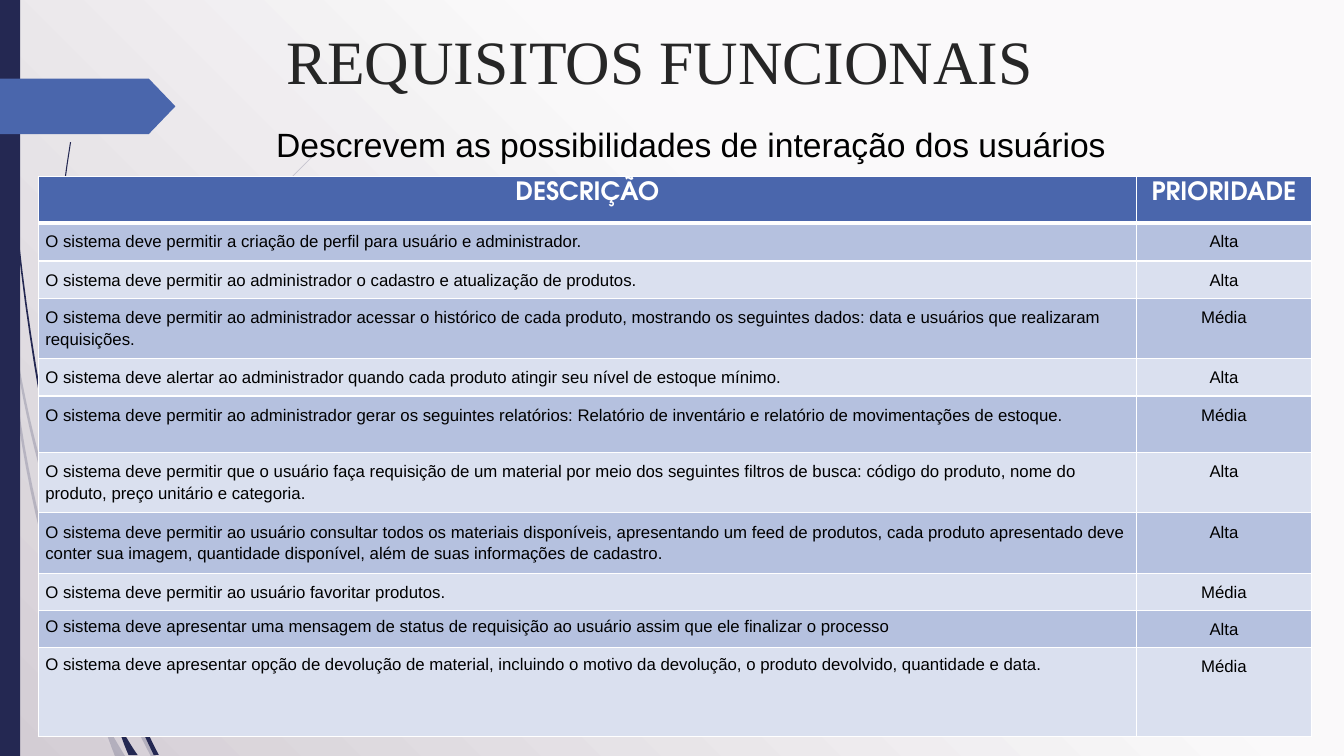
"""Build the functional requirements slide with its priority table."""
import copy
from dataclasses import dataclass
from typing import Any, Optional

import lxml.etree
import pptx
import pptx.dml.color
import pptx.enum.shapes
import pptx.enum.text
import pptx.oxml.ns
import pptx.util

Inches = pptx.util.Inches
Pt = pptx.util.Pt
Align = pptx.enum.text.PP_ALIGN
Anchor = pptx.enum.text.MSO_ANCHOR
Preset = pptx.enum.shapes.MSO_SHAPE
qn = pptx.oxml.ns.qn
Point = tuple[float, float]

COLORS = {"navy": "242852", "blue": "4A66AC", "dark_band": "B5C1DF", "light_band": "DAE0EF",
          "white": "FFFFFF", "black": "000000", "title": "262626",
          "sky": "FAF9FA", "haze": "F9F8F9", "dusk": "D3CDD4"}
TITLE = {"name": "Times New Roman", "size": Pt(44), "color": "title"}
SUBTITLE = {"name": "Arial", "size": Pt(24), "color": "black"}
HEADER = {"name": "TeX Gyre Adventor", "size": Pt(18), "bold": True, "color": "white"}
BODY = {"name": "Arial", "size": Pt(12), "bold": False, "color": "black"}
LOOSE = {"line_spacing": 1.15}
SPACED = LOOSE | {"space_before": Pt(12), "space_after": Pt(12)}
PLAIN: dict[str, Any] = {}
PADDING = {f"margin_{side}": Inches(0.07) for side in ("left", "top", "right", "bottom")}


@dataclass
class Requirement:
    description: str
    priority: str
    height: float
    spacing: dict[str, Any]


@dataclass
class Stem:
    start: Point
    bend: Point
    end: Point
    start_width: float = 0.02
    end_width: float = 0.02
    opacity: int = 20


REQUIREMENTS = [
    Requirement("O sistema deve permitir a criação de perfil para usuário e administrador.",
                "Alta", 0.38, SPACED),
    Requirement("O sistema deve permitir ao administrador o cadastro e atualização de produtos.",
                "Alta", 0.35, SPACED),
    Requirement("O sistema deve permitir ao administrador acessar o histórico de cada produto, mostrando os "
                "seguintes dados: data e usuários que realizaram requisições.", "Média", 0.56, SPACED),
    Requirement("O sistema deve alertar ao administrador quando cada produto atingir seu nível de estoque "
                "mínimo.", "Alta", 0.35, SPACED),
    Requirement("O sistema deve permitir ao administrador gerar os seguintes relatórios: Relatório de "
                "inventário e relatório de movimentações de estoque.", "Média", 0.56, SPACED),
    Requirement("O sistema deve permitir que o usuário faça requisição de um material por meio dos seguintes "
                "filtros de busca: código do produto, nome do produto, preço unitário e categoria.",
                "Alta", 0.56, LOOSE),
    Requirement("O sistema deve permitir ao usuário consultar todos os materiais disponíveis, apresentando um "
                "feed de produtos, cada produto apresentado deve conter sua imagem, quantidade disponível, "
                "além de suas informações de cadastro.", "Alta", 0.56, LOOSE),
    Requirement("O sistema deve permitir ao usuário favoritar produtos.", "Média", 0.35, SPACED),
    Requirement("O sistema deve apresentar uma mensagem de status de requisição ao usuário assim que ele "
                "finalizar o processo", "Alta", 0.36, PLAIN),
    Requirement("O sistema deve apresentar opção de devolução de material, incluindo o motivo da devolução, "
                "o produto devolvido, quantidade\u00a0e data.", "Média", 0.88, PLAIN),
]

STEMS = [
    Stem((0.15, 3.45), (0.37, 4.81), (0.85, 5.93), end_width=0.04),
    Stem((0.88, 6), (1.14, 6.8), (1.52, 7.5), end_width=0.05),
    Stem((0.11, 3.5), (0.28, 5.32), (1.01, 7.14), end_width=0.04),
    Stem((0.86, 5.9), (1.01, 3.58), (3.12, 1.53), end_width=0.01),
    Stem((1.02, 7.14), (1.1, 7.32), (1.19, 7.5), end_width=0.1),
    Stem((0.04, 0), (0.06, 2.4), (0.57, 4.81), start_width=0.01, opacity=100),
    Stem((0.7, 1.41), (0.42, 3.14), (0.59, 4.7), start_width=0.01, opacity=100),
    Stem((1.1, 6.41), (1.28, 6.95), (1.55, 7.49), end_width=0.05, opacity=100),
    Stem((1.18, 7.2), (1.24, 7.35), (1.32, 7.49), end_width=0.09, opacity=100),
]


def rgb(key: str) -> pptx.dml.color.RGBColor:
    return pptx.dml.color.RGBColor.from_string(COLORS[key])


def apply(target: Any, values: dict[str, Any]) -> None:
    for attribute, value in values.items():
        if attribute == "color":
            target.color.rgb = rgb(value)
        else:
            setattr(target, attribute, value)


def paint(shape: Any, key: str, opacity: int = 100) -> None:
    shape.shadow.inherit = False
    shape.line.fill.background()
    shape.fill.solid()
    shape.fill.fore_color.rgb = rgb(key)
    if opacity < 100:
        tint = shape._element.spPr.find(f"{qn('a:solidFill')}/{qn('a:srgbClr')}")
        lxml.etree.SubElement(tint, qn("a:alpha"), val=str(opacity * 1000))


def draw_stem(stem: Stem, steps: int = 16) -> None:
    left, right = [], []
    for t in (step / steps for step in range(steps + 1)):
        x, y = ((1 - t) ** 2 * a + 2 * t * (1 - t) * b + t * t * c
                for a, b, c in zip(stem.start, stem.bend, stem.end))
        half = (stem.start_width * (1 - t) + stem.end_width * t) / 2
        left.append((Inches(x - half), Inches(y)))
        right.append((Inches(x + half), Inches(y)))
    builder = slide.shapes.build_freeform(*left[0])
    builder.add_line_segments(left[1:] + right[::-1], close=True)
    paint(builder.convert_to_shape(), "navy", stem.opacity)


def write(frame: Any, text: str, font: dict[str, Any], paragraph_format: Optional[dict[str, Any]] = None) -> None:
    paragraph = frame.paragraphs[0]
    apply(paragraph, paragraph_format or {})
    run = paragraph.add_run()
    run.text = text
    apply(run.font, font)


def draw_cell(cell: Any, text: str, font: dict[str, Any], paragraph_format: dict[str, Any],
              band: str, top: int = 1, bottom: int = 1) -> None:
    borders = cell._tc.get_or_add_tcPr()
    for side, width in {"L": 1, "R": 1, "T": top, "B": bottom}.items():
        line = lxml.etree.SubElement(borders, qn(f"a:ln{side}"), w=str(Pt(width)))
        solid = lxml.etree.SubElement(line, qn("a:solidFill"))
        lxml.etree.SubElement(solid, qn("a:srgbClr"), val=COLORS["white"])
    cell.fill.solid()
    cell.fill.fore_color.rgb = rgb(band)
    write(cell.text_frame, text, font, paragraph_format)


deck = pptx.Presentation()
apply(deck, {"slide_width": Inches(13.33), "slide_height": Inches(7.5)})
slide = deck.slides.add_slide(deck.slide_layouts[6])

backdrop = slide.background.fill
backdrop.gradient()
backdrop.gradient_angle = 225
first_stop = slide._element.find(f".//{qn('a:gs')}")
first_stop.addnext(copy.deepcopy(first_stop))
for stop, (position, key) in zip(backdrop.gradient_stops, [(0, "sky"), (0.4, "haze"), (1, "dusk")]):
    stop.position = position
    stop.color.rgb = rgb(key)

for stem in STEMS:
    draw_stem(stem)
paint(slide.shapes.add_shape(Preset.RECTANGLE, 0, 0, Inches(0.2), deck.slide_height), "navy")
tag = slide.shapes.add_shape(Preset.PENTAGON, 0, Inches(0.78), Inches(1.74), Inches(0.55))
tag.adjustments[0] = 0.48
paint(tag, "blue")

title = slide.shapes.add_textbox(Inches(2.74), Inches(0.14), Inches(7.88), Inches(0.84)).text_frame
apply(title, {"word_wrap": True, "vertical_anchor": Anchor.BOTTOM, "margin_bottom": Inches(0.02)})
write(title, "REQUISITOS FUNCIONAIS", TITLE)
subtitle = slide.shapes.add_textbox(Inches(2.64), Inches(1.18), Inches(8.52), Inches(0.5)).text_frame
apply(subtitle, {"word_wrap": False, "auto_size": pptx.enum.text.MSO_AUTO_SIZE.SHAPE_TO_FIT_TEXT})
write(subtitle, "Descrevem as possibilidades de interação dos usuários", SUBTITLE)

requirements = slide.shapes.add_table(len(REQUIREMENTS) + 1, 2, Inches(0.38), Inches(1.75),
                                      Inches(12.63), Inches(5.42)).table
for column, width in zip(requirements.columns, (10.89, 1.74)):
    column.width = Inches(width)
requirements.rows[0].height = Inches(0.46)
centred = {"alignment": Align.CENTER}
for column, heading in enumerate(("DESCRIÇÃO", "PRIORIDADE")):
    draw_cell(requirements.cell(0, column), heading, HEADER, centred, "blue", bottom=3)
for row, item in enumerate(REQUIREMENTS, start=1):
    requirements.rows[row].height = Inches(item.height)
    band = "dark_band" if row % 2 else "light_band"
    columns = ((item.description, item.spacing), (item.priority, SPACED | centred))
    for column, (text, paragraph_format) in enumerate(columns):
        cell = requirements.cell(row, column)
        apply(cell, PADDING)
        draw_cell(cell, text, BODY, paragraph_format, band, top=3 if row == 1 else 1)

deck.save("out.pptx")
